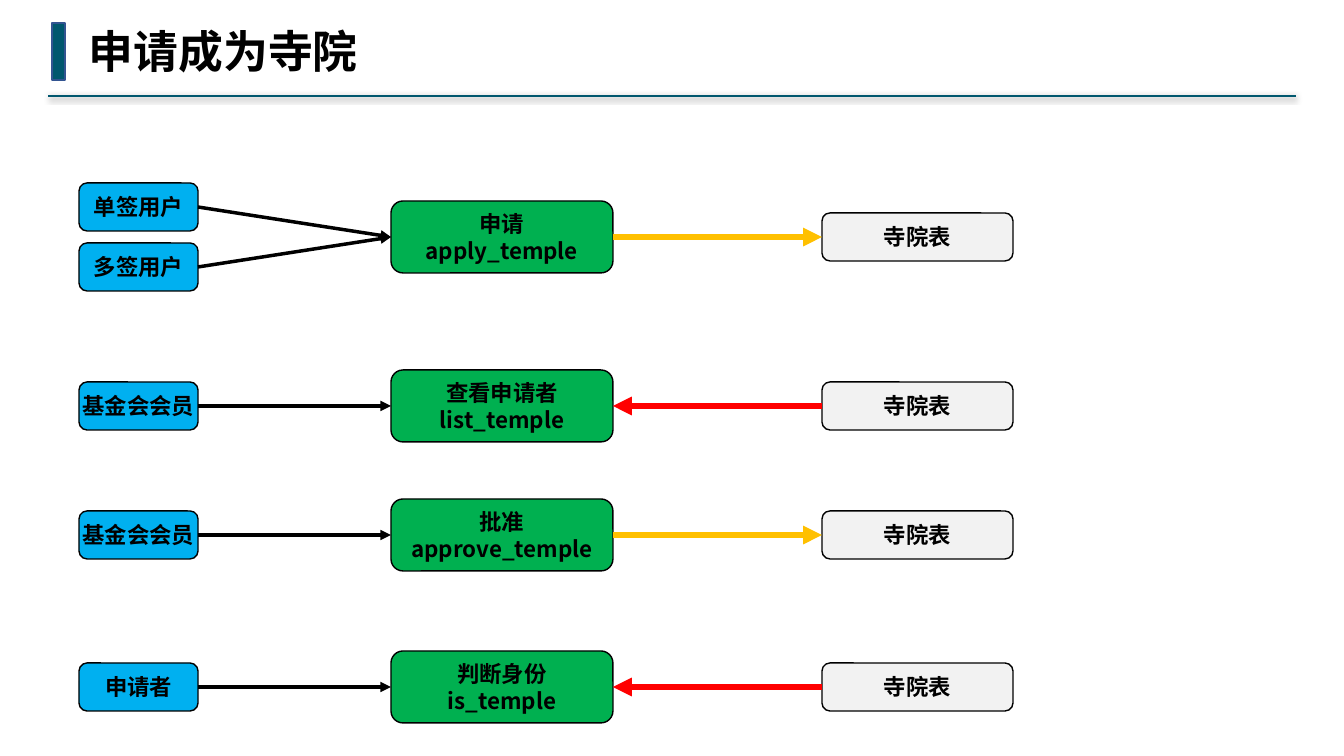
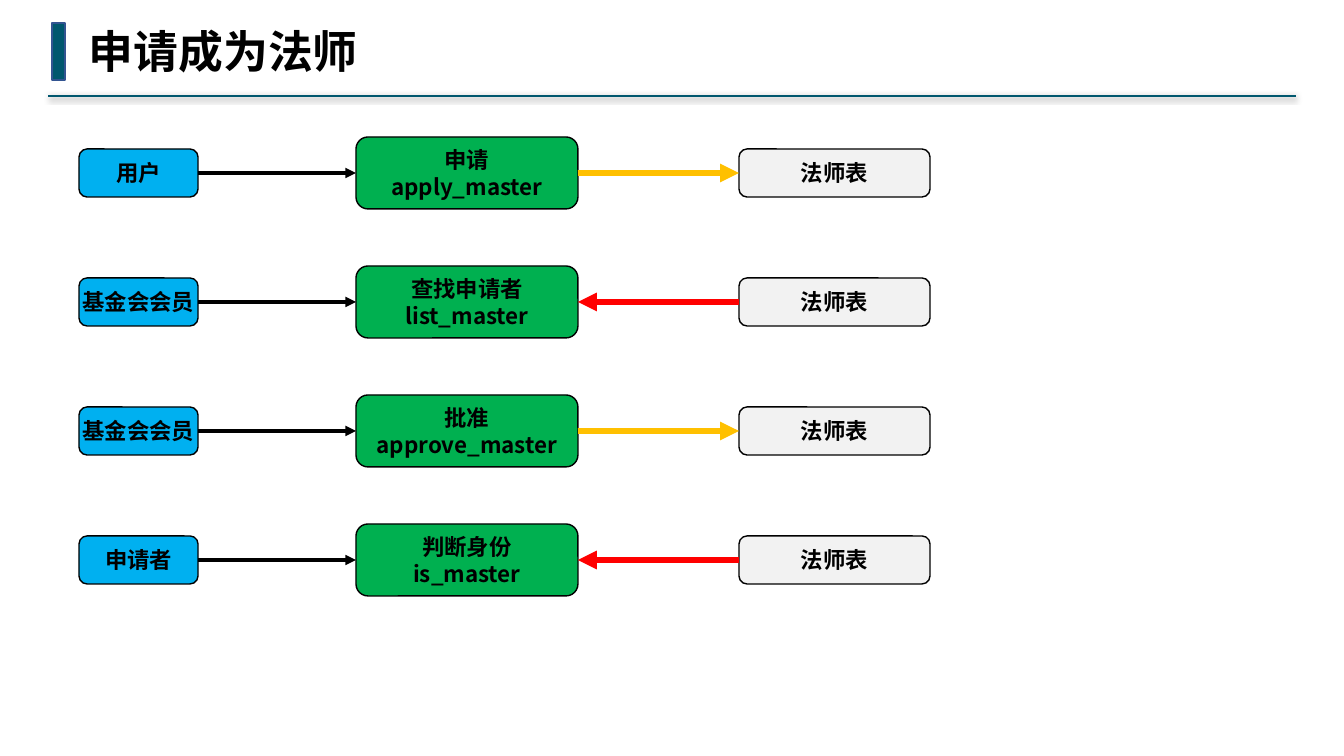
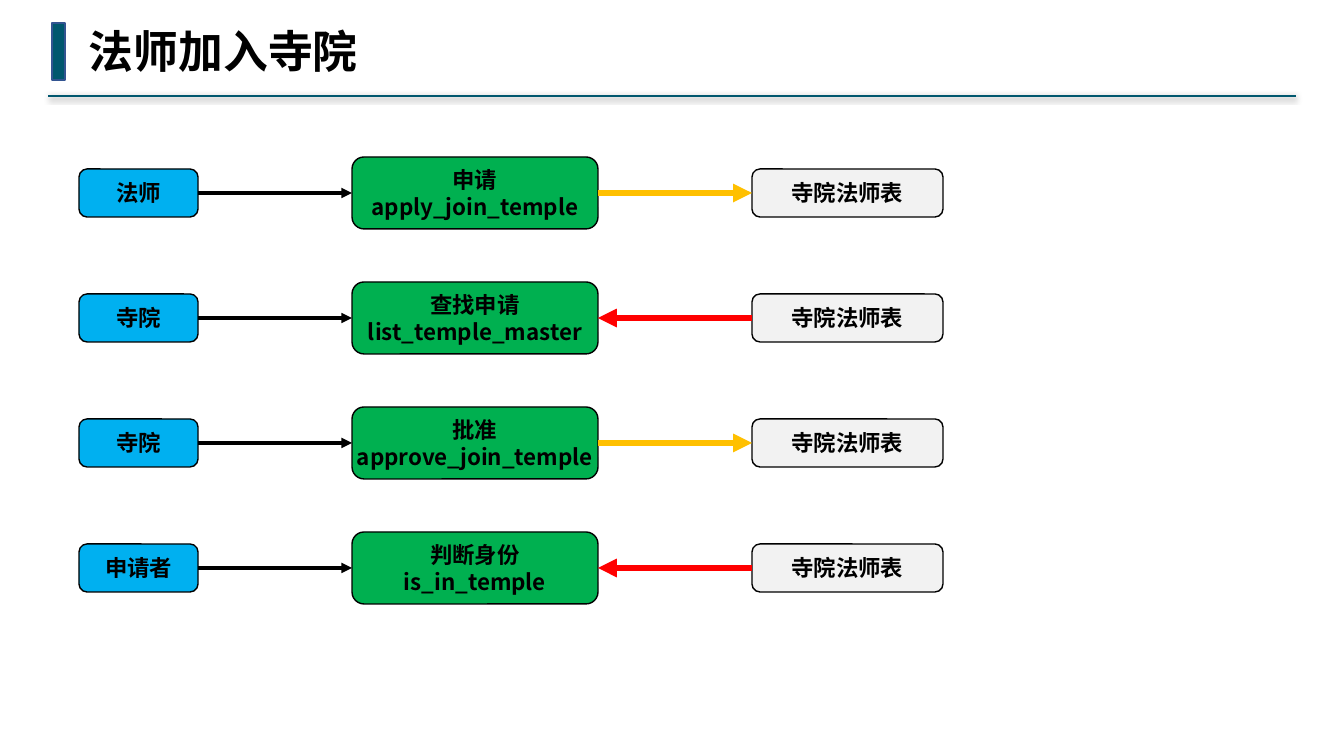
from dataclasses import dataclass

from lxml.etree import SubElement
from pptx import Presentation
from pptx.dml.color import RGBColor
from pptx.enum.shapes import MSO_CONNECTOR, MSO_SHAPE
from pptx.enum.text import MSO_ANCHOR, MSO_AUTO_SIZE, PP_ALIGN
from pptx.oxml.ns import qn
from pptx.util import Emu, Pt

PX_PER_INCH = 100.8
SLIDE_W, SLIDE_H = 1344, 756

BLACK = RGBColor(0x00, 0x00, 0x00)
TEAL = RGBColor(0x00, 0x57, 0x6E)
BAR_EDGE = RGBColor(0x32, 0x54, 0x91)
USER_BLUE = RGBColor(0x00, 0xB0, 0xF0)
ACTION_GREEN = RGBColor(0x00, 0xB0, 0x50)
TABLE_GREY = RGBColor(0xF2, 0xF2, 0xF2)
WRITE_AMBER = RGBColor(0xFF, 0xC0, 0x00)
READ_RED = RGBColor(0xFF, 0x00, 0x00)

BODY_FONT = "Noto Sans CJK SC"
TITLE_FONT = "Courier New"

USER_LEFT, USER_W = 79, 119
TABLE_W = 191
BOX_H, ACTION_H = 48, 72
TOP, LEFT, BOTTOM, RIGHT = range(4)


@dataclass
class Step:
    """One row: users call a function, which writes to or reads from a table."""
    users: tuple
    action: str
    function: str
    writes: bool


@dataclass
class Flow:
    title: str
    table: str
    action_left: int
    action_w: int
    table_left: int
    centers: tuple
    steps: tuple


FLOWS = (
    Flow("申请成为寺院", "寺院表", 391, 222, 822, (237, 406, 535, 687), (
        Step(("单签用户", "多签用户"), "申请", "apply_temple", True),
        Step(("基金会会员",), "查看申请者", "list_temple", False),
        Step(("基金会会员",), "批准", "approve_temple", True),
        Step(("申请者",), "判断身份", "is_temple", False),
    )),
    Flow("申请成为法师", "法师表", 356, 222, 739, tuple(range(173, 561, 129)), (
        Step(("用户",), "申请", "apply_master", True),
        Step(("基金会会员",), "查找申请者", "list_master", False),
        Step(("基金会会员",), "批准", "approve_master", True),
        Step(("申请者",), "判断身份", "is_master", False),
    )),
    Flow("法师加入寺院", "寺院法师表", 352, 246, 752, tuple(range(193, 569, 125)), (
        Step(("法师",), "申请", "apply_join_temple", True),
        Step(("寺院",), "查找申请", "list_temple_master", False),
        Step(("寺院",), "批准", "approve_join_temple", True),
        Step(("申请者",), "判断身份", "is_in_temple", False),
    )),
)


def px(length):
    return Emu(round(length * 914400 / PX_PER_INCH))


def style_paragraph(paragraph, size, latin):
    font = paragraph.font
    font.size, font.bold, font.name = Pt(size), True, latin
    font.color.rgb = BLACK
    defaults = paragraph._p.get_or_add_pPr().get_or_add_defRPr()
    SubElement(defaults, qn("a:ea"), typeface=BODY_FONT)


def add_filled(slide, preset, left, top, width, height, fill, edge):
    shape = slide.shapes.add_shape(preset, px(left), px(top), px(width), px(height))
    shape.shadow.inherit = False
    shape.fill.solid()
    shape.fill.fore_color.rgb = fill
    shape.line.color.rgb = edge
    shape.line.width = Pt(1)
    return shape


def add_box(slide, left, center, width, height, fill, lines):
    """Rounded box centred vertically on center, one paragraph per line."""
    box = add_filled(slide, MSO_SHAPE.ROUNDED_RECTANGLE, left, center - height // 2,
                     width, height, fill, BLACK)
    frame = box.text_frame
    frame.word_wrap = False
    frame.vertical_anchor = MSO_ANCHOR.MIDDLE
    frame.margin_left = frame.margin_right = px(4)
    frame.margin_top = frame.margin_bottom = px(4)
    frame.text = "\n".join(lines)
    for paragraph in frame.paragraphs:
        paragraph.alignment = PP_ALIGN.CENTER
        style_paragraph(paragraph, 16, BODY_FONT)
    return box


def add_line(slide, start, end, color, weight):
    """Straight line; returns it with its empty effect list."""
    line = slide.shapes.add_connector(MSO_CONNECTOR.STRAIGHT, *map(px, start + end))
    line.line.color.rgb = color
    line.line.width = Pt(weight)
    effects = SubElement(line._element.spPr, qn("a:effectLst"))
    return line, effects


def add_arrow(slide, source, source_side, target, target_side, color, weight):
    arrow, _ = add_line(slide, (0, 0), (0, 0), color, weight)
    arrow.begin_connect(source, source_side)
    arrow.end_connect(target, target_side)
    SubElement(arrow.line._get_or_add_ln(), qn("a:tailEnd"), type="triangle")


def add_header(slide, title):
    _, effects = add_line(slide, (1296, 96), (48, 96), TEAL, 1.5)
    shadow = SubElement(effects, qn("a:outerShdw"), blurRad=str(Pt(4)),
                        dist=str(Pt(1)), dir="5400000", rotWithShape="0")
    shade = SubElement(shadow, qn("a:srgbClr"), val=str(BLACK))
    SubElement(shade, qn("a:alpha"), val="40000")
    add_filled(slide, MSO_SHAPE.RECTANGLE, 52, 23, 13, 57, TEAL, BAR_EDGE)
    frame = slide.shapes.add_textbox(px(79), px(19), px(291), px(65)).text_frame
    frame.word_wrap = False
    frame.auto_size = MSO_AUTO_SIZE.SHAPE_TO_FIT_TEXT
    frame.text = title
    style_paragraph(frame.paragraphs[0], 32, TITLE_FONT)


def add_step(slide, flow, step, center):
    action = add_box(slide, flow.action_left, center, flow.action_w, ACTION_H,
                     ACTION_GREEN, (step.action, step.function))
    table = add_box(slide, flow.table_left, center, TABLE_W, BOX_H,
                    TABLE_GREY, (flow.table,))
    pitch = 60
    first = center - (len(step.users) - 1) * pitch // 2
    for index, name in enumerate(step.users):
        user = add_box(slide, USER_LEFT, first + index * pitch, USER_W, BOX_H,
                       USER_BLUE, (name,))
        add_arrow(slide, user, RIGHT, action, LEFT, BLACK, 2.5)
    if step.writes:
        add_arrow(slide, action, RIGHT, table, LEFT, WRITE_AMBER, 4.5)
    else:
        add_arrow(slide, table, LEFT, action, RIGHT, READ_RED, 4.5)


def main():
    deck = Presentation()
    deck.slide_width, deck.slide_height = px(SLIDE_W), px(SLIDE_H)
    blank = deck.slide_layouts[6]
    for flow in FLOWS:
        slide = deck.slides.add_slide(blank)
        add_header(slide, flow.title)
        for step, center in zip(flow.steps, flow.centers):
            add_step(slide, flow, step, center)
    deck.save("out.pptx")


if __name__ == "__main__":
    main()
